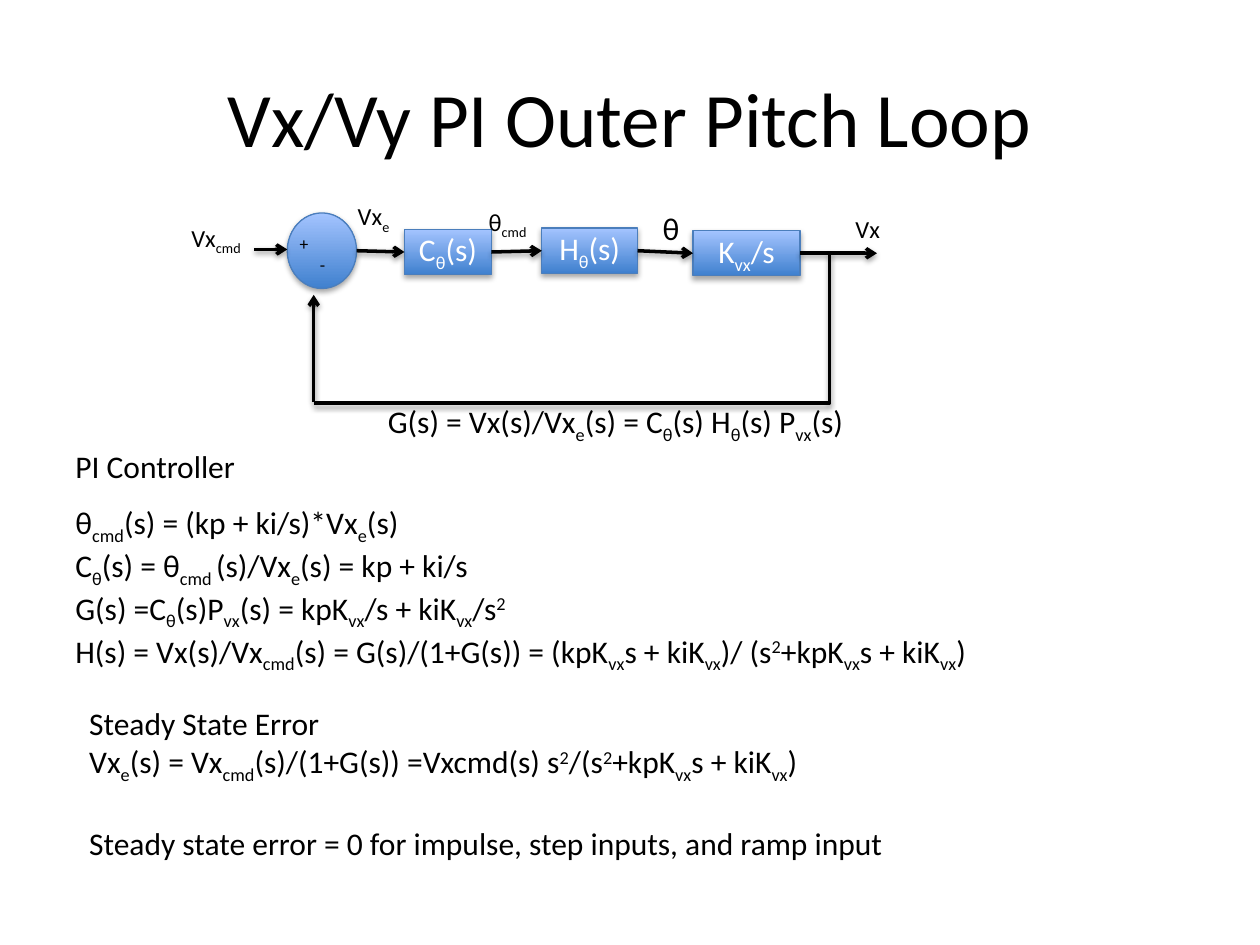
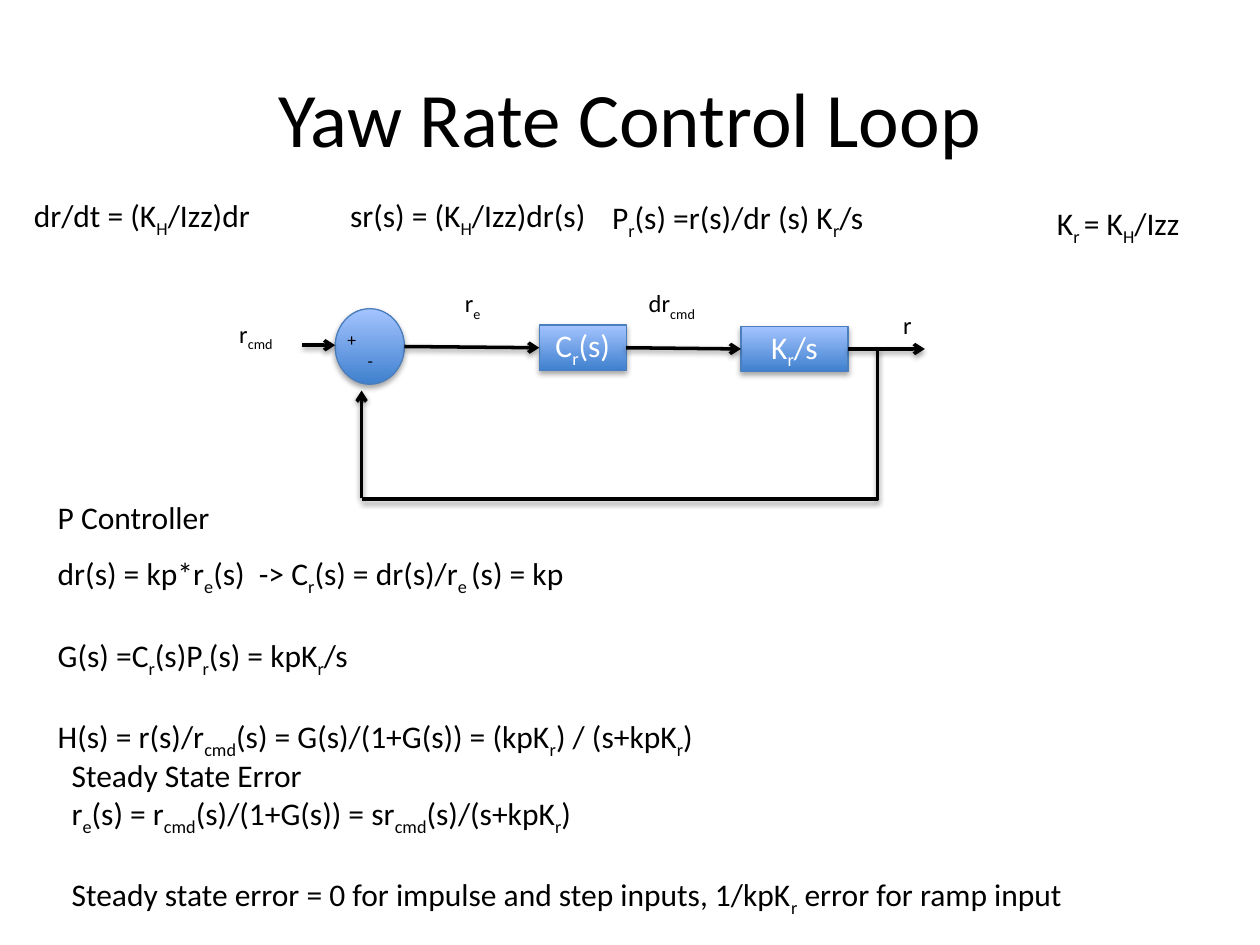
from lxml.etree import SubElement
from pptx import Presentation
from pptx.dml.color import RGBColor
from pptx.enum.shapes import MSO_CONNECTOR, MSO_SHAPE
from pptx.enum.text import MSO_ANCHOR, PP_ALIGN
from pptx.oxml.ns import qn
from pptx.util import Inches, Pt

BLACK = RGBColor(0x00, 0x00, 0x00)
WHITE = RGBColor(0xFF, 0xFF, 0xFF)
BLOCK_DARK = RGBColor(0x3F, 0x80, 0xCE)
BLOCK_LIGHT = RGBColor(0xA4, 0xC4, 0xFF)
BLOCK_LINE = RGBColor(0x4B, 0x7E, 0xBC)
FONT = "Calibri"
TITLE_SIZE, BODY_SIZE, SIGNAL_SIZE, SIGN_SIZE = 44, 18, 14, 10
BLANK_LINE = Pt(22)
BASELINES = {"_": "-25000", "^": "30000"}

# In every text, {_x} is a subscript and {^x} a superscript.
SLIDES = [
    {
        "title": "Vx/Vy PI Outer Pitch Loop",
        "offset": (0, 0),
        "input": "Vx{_cmd}",
        "output": "Vx",
        "blocks": [
            ("C{_θ}(s)", 3.21, 1.82, 0.69),
            ("H{_θ}(s)", 4.3, 1.81, 0.76),
            ("K{_vx}/s", 5.5, 1.83, 0.85),
        ],
        "signals": [
            ("Vx{_e}", 2.74, 1.55, SIGNAL_SIZE),
            ("θ{_cmd}", 3.78, 1.59, SIGNAL_SIZE),
            ("θ", 5.16, 1.61, BODY_SIZE),
        ],
        "notes": [
            ((2.98, 3.14, 3.9, 0.4), ["G(s) = Vx(s)/Vx{_e}(s) = C{_θ}(s) H{_θ}(s) P{_vx}(s)"]),
            ((0.5, 3.5, 1.49, 0.4), ["PI Controller"]),
            ((0.5, 3.94, 7.44, 1.31), [
                "θ{_cmd}(s) = (kp + ki/s)*Vx{_e}(s)",
                "C{_θ}(s) = θ{_cmd }(s)/Vx{_e}(s) = kp + ki/s",
                "G(s) =C{_θ}(s)P{_vx}(s) = kpK{_vx}/s + kiK{_vx}/s{^2}",
                "H(s) = Vx(s)/Vx{_cmd}(s) = G(s)/(1+G(s)) = "
                "(kpK{_vx}s + kiK{_vx})/ (s{^2}+kpK{_vx}s + kiK{_vx})",
            ]),
            ((0.61, 5.54, 8.06, 1.31), [
                "Steady State Error",
                "Vx{_e}(s) = Vx{_cmd}(s)/(1+G(s)) =Vxcmd(s) s{^2}/(s{^2}+kpK{_vx}s + kiK{_vx})",
                "",
                "Steady state error = 0 for impulse, step inputs, and ramp input",
            ]),
        ],
    },
    {
        "title": "Yaw Rate Control Loop",
        "offset": (0.38, 0.76),
        "input": "r{_cmd}",
        "output": "r",
        "blocks": [
            ("C{_r}(s)", 3.9, 1.82, 0.69),
            ("K{_r}/s", 5.5, 1.83, 0.85),
        ],
        "signals": [
            ("r{_e}", 3.21, 1.48, SIGNAL_SIZE),
            ("dr{_cmd}", 4.67, 1.48, SIGNAL_SIZE),
        ],
        "notes": [
            ((0.17, 1.51, 1.95, 0.4), ["dr/dt = (K{_H}/Izz)dr"]),
            ((2.68, 1.51, 2.37, 0.4), ["sr(s) = (K{_H}/Izz)dr(s)"]),
            ((4.76, 1.52, 2.24, 0.4), ["P{_r}(s) =r(s)/dr (s) K{_r}/s"]),
            ((8.29, 1.57, 1.21, 0.4), ["K{_r }= K{_H}/Izz"]),
            ((0.36, 3.9, 1.42, 0.4), ["P Controller"]),
            ((0.36, 4.35, 5.38, 1.62), [
                "dr(s) = kp*r{_e}(s)  -> C{_r}(s) = dr(s)/r{_e }(s) = kp",
                "",
                "G(s) =C{_r}(s)P{_r}(s) = kpK{_r}/s",
                "",
                "H(s) = r(s)/r{_cmd}(s) = G(s)/(1+G(s)) = (kpK{_r}) / (s+kpK{_r})",
            ]),
            ((0.47, 5.95, 8.52, 1.31), [
                "Steady State Error",
                "r{_e}(s) = r{_cmd}(s)/(1+G(s)) = sr{_cmd}(s)/(s+kpK{_r})",
                "",
                "Steady state error = 0 for impulse and step inputs, 1/kpK{_r} error for ramp input",
            ]),
        ],
    },
]


def write_formula(paragraph, formula, size, color=BLACK):
    for piece in formula.replace("}", "{").split("{"):
        if not piece:
            continue
        run = paragraph.add_run()
        run.text = piece.lstrip("_^")
        run.font.name = FONT
        run.font.size = Pt(size)
        run.font.color.rgb = color
        if piece[0] in BASELINES:
            run.font._element.set("baseline", BASELINES[piece[0]])


def add_text(slide, box, lines, size=BODY_SIZE):
    text_frame = slide.shapes.add_textbox(*map(Inches, box)).text_frame
    text_frame.word_wrap = True
    after_gap = False
    for index, line in enumerate(lines):
        if line:
            paragraph = text_frame.add_paragraph() if index else text_frame.paragraphs[0]
            if after_gap:
                paragraph.space_before = BLANK_LINE
            write_formula(paragraph, line, size)
        after_gap = not line
    return text_frame


def add_shadow(properties, distance, opacity):
    effects = SubElement(properties, qn("a:effectLst"))
    shadow = SubElement(effects, qn("a:outerShdw"), blurRad="40000", dist=str(distance),
                        dir="5400000", rotWithShape="0")
    color = SubElement(shadow, qn("a:srgbClr"), val=str(BLACK))
    SubElement(color, qn("a:alpha"), val=str(opacity))


def add_block(slide, kind, box, formula=""):
    shape = slide.shapes.add_shape(kind, *map(Inches, box))
    shape.fill.gradient()
    shape.fill.gradient_angle = 90
    for stop, color in zip(shape.fill.gradient_stops, (BLOCK_DARK, BLOCK_LIGHT)):
        stop.color.rgb = color
    shape.line.color.rgb = BLOCK_LINE
    shape.line.width = Pt(0.75)
    add_shadow(shape._element.spPr, 23000, 35000)
    shape.text_frame.vertical_anchor = MSO_ANCHOR.MIDDLE
    paragraph = shape.text_frame.paragraphs[0]
    paragraph.alignment = PP_ALIGN.CENTER
    write_formula(paragraph, formula, BODY_SIZE, WHITE)
    return shape


def add_line(slide, start, end, kind=MSO_CONNECTOR.STRAIGHT, arrow=True):
    connector = slide.shapes.add_connector(kind, *map(Inches, start + end))
    connector.line.color.rgb = BLACK
    connector.line.width = Pt(2)
    properties = connector._element.spPr
    if arrow:
        SubElement(properties.find(qn("a:ln")), qn("a:tailEnd"), type="arrow")
    add_shadow(properties, 20000, 38000)
    return connector


def add_loop(slide, content):
    dx, dy = content["offset"]

    def at(x, y):
        return (x + dx, y + dy)

    add_block(slide, MSO_SHAPE.OVAL, at(2.28, 1.69) + (0.55, 0.6))
    signs = add_text(slide, at(2.28, 1.8) + (0.4, 0.44), ["+", "-"], SIGN_SIZE)
    signs.paragraphs[1]._p.get_or_add_pPr().set("marL", str(Inches(0.16)))

    blocks = [add_block(slide, MSO_SHAPE.RECTANGLE, at(x, y) + (width, 0.36), formula)
              for formula, x, y, width in content["blocks"]]
    add_line(slide, at(2.02, 1.98), at(2.28, 1.98))
    add_line(slide, at(2.83, 1.99), at(3.21, 1.99)).end_connect(blocks[0], 1)
    for source, target in zip(blocks, blocks[1:]):
        connector = add_line(slide, at(3.9, 2), at(4.3, 2))
        connector.begin_connect(source, 3)
        connector.end_connect(target, 1)
    add_line(slide, at(6.35, 2.01), at(6.96, 2.01)).begin_connect(blocks[-1], 3)

    feedback = add_line(slide, at(6.58, 2.01), at(2.49, 3.2), MSO_CONNECTOR.ELBOW, arrow=False)
    geometry = feedback._element.spPr.find(qn("a:prstGeom"))
    adjustments = geometry.find(qn("a:avLst"))
    if adjustments is None:
        adjustments = SubElement(geometry, qn("a:avLst"))
    SubElement(adjustments, qn("a:gd"), name="adj1", fmla="val -100")
    add_line(slide, at(2.49, 3.19), at(2.49, 2.34))

    ends = [(content["input"], 1.42, 1.72, SIGNAL_SIZE), (content["output"], 6.69, 1.65, SIGNAL_SIZE)]
    for formula, x, y, size in content["signals"] + ends:
        add_text(slide, at(x, y) + (0.65, 0.34), [formula], size)


def main():
    presentation = Presentation()
    presentation.slide_width, presentation.slide_height = Inches(10), Inches(7.5)
    for content in SLIDES:
        slide = presentation.slides.add_slide(presentation.slide_layouts[6])
        title = add_text(slide, (0.5, 0.3, 9, 1.25), [content["title"]], TITLE_SIZE)
        title.vertical_anchor = MSO_ANCHOR.MIDDLE
        title.paragraphs[0].alignment = PP_ALIGN.CENTER
        for box, lines in content["notes"]:
            add_text(slide, box, lines)
        add_loop(slide, content)
    presentation.save("out.pptx")


if __name__ == "__main__":
    main()
